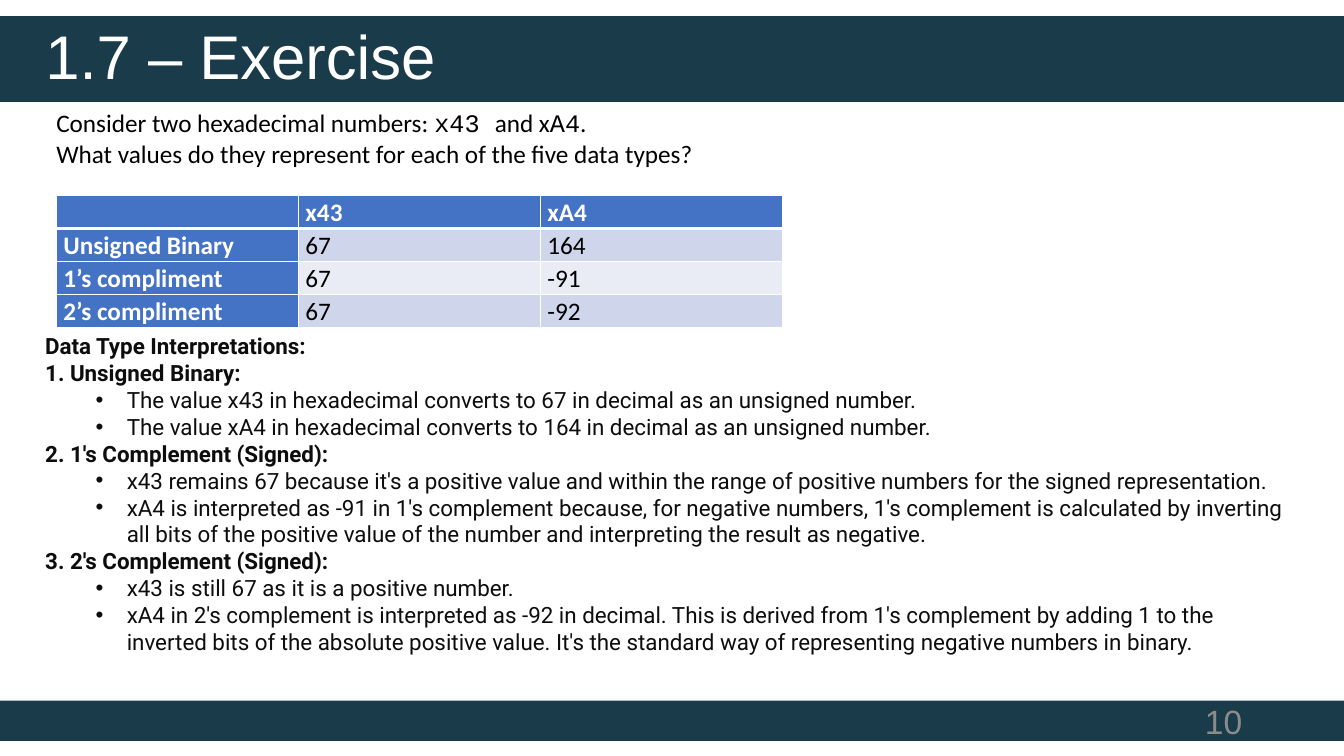
from lxml.etree import SubElement
from pptx import Presentation
from pptx.dml.color import RGBColor
from pptx.enum.shapes import MSO_SHAPE
from pptx.enum.text import MSO_ANCHOR, PP_ALIGN
from pptx.oxml.ns import qn
from pptx.util import Inches, Pt

TEAL = RGBColor(0x1A, 0x3B, 0x49)
WHITE = RGBColor(0xFF, 0xFF, 0xFF)
BLACK = RGBColor(0x00, 0x00, 0x00)
INK = RGBColor(0x0D, 0x0D, 0x0D)
GRAY = RGBColor(0x8B, 0x8B, 0x8B)
BLUE = RGBColor(0x44, 0x72, 0xC4)
ROW_TINTS = [RGBColor(0xCF, 0xD5, 0xEA), RGBColor(0xE9, 0xEB, 0xF5)]

VALUES = [
    ["", "x43", "xA4"],
    ["Unsigned Binary", "67", "164"],
    ["1’s compliment", "67", "-91"],
    ["2’s compliment", "67", "-92"],
]
INTERPRETATIONS = [
    ("Unsigned Binary:", [
        "The value x43 in hexadecimal converts to 67 in decimal as an unsigned number.",
        "The value xA4 in hexadecimal converts to 164 in decimal as an unsigned number.",
    ]),
    ("1's Complement (Signed):", [
        "x43 remains 67 because it's a positive value and within the range of positive "
        "numbers for the signed representation.",
        "xA4 is interpreted as -91 in 1's complement because, for negative numbers, "
        "1's complement is calculated by inverting all bits of the positive value of "
        "the number and interpreting the result as negative.",
    ]),
    ("2's Complement (Signed):", [
        "x43 is still 67 as it is a positive number.",
        "xA4 in 2's complement is interpreted as -92 in decimal. This is derived from "
        "1's complement by adding 1 to the inverted bits of the absolute positive value. "
        "It's the standard way of representing negative numbers in binary.",
    ]),
]


def add_text(para, text, font="Calibri", size=18, color=BLACK, bold=False):
    span = para.add_run()
    span.text = text
    span.font.name = font
    span.font.size = Pt(size)
    span.font.color.rgb = color
    span.font.bold = bold


def add_frame(slide, left, top, width, height):
    box = slide.shapes.add_textbox(Inches(left), Inches(top), Inches(width), Inches(height))
    box.text_frame.word_wrap = True
    return box.text_frame


def add_band(slide, top, height):
    band = slide.shapes.add_shape(
        MSO_SHAPE.RECTANGLE, 0, Inches(top), Inches(13.33), Inches(height))
    band.shadow.inherit = False
    band.fill.solid()
    band.fill.fore_color.rgb = TEAL
    band.line.fill.background()


def add_page_number(slide, left, top, width, height):
    frame = add_frame(slide, left, top, width, height)
    frame.vertical_anchor = MSO_ANCHOR.MIDDLE
    frame.paragraphs[0].alignment = PP_ALIGN.RIGHT
    add_text(frame.paragraphs[0], "10", font="Arial", size=24, color=GRAY)


def set_title(slide, left, top, width, height):
    """Fill the title placeholder and bring it in front of the bands."""
    title = slide.shapes.title
    title.left, title.top = Inches(left), Inches(top)
    title.width, title.height = Inches(width), Inches(height)
    title.element.getparent().append(title.element)
    title.text_frame.vertical_anchor = MSO_ANCHOR.MIDDLE
    para = title.text_frame.paragraphs[0]
    para.alignment = PP_ALIGN.LEFT
    para.line_spacing = 0.9
    add_text(para, "1.7 – Exercise", font="Arial", size=44, color=WHITE)


def add_question(slide, left, top, width, height):
    para = add_frame(slide, left, top, width, height).paragraphs[0]
    add_text(para, "Consider two hexadecimal numbers: ")
    add_text(para, "x43 ", font="Courier New")
    add_text(para, "and x")
    add_text(para, "A4", font="Courier New")
    add_text(para, ".")
    para.add_line_break()
    add_text(para, "What values do they represent for each of the five data types?")


def set_borders(cell, bottom):
    properties = cell._tc.get_or_add_tcPr()
    for side, width in (("L", 1), ("R", 1), ("T", 1), ("B", bottom)):
        line = SubElement(properties, qn(f"a:ln{side}"), w=str(Pt(width)))
        fill = SubElement(line, qn("a:solidFill"))
        SubElement(fill, qn("a:srgbClr"), val=str(WHITE))


def add_value_table(slide, left, top, width, height):
    table = slide.shapes.add_table(
        len(VALUES), len(VALUES[0]),
        Inches(left), Inches(top), Inches(width), Inches(height)).table
    table.first_col = True
    for row, texts in enumerate(VALUES):
        for column, text in enumerate(texts):
            cell = table.cell(row, column)
            heading = row == 0 or column == 0
            set_borders(cell, bottom=3 if row == 0 else 1)
            cell.fill.solid()
            cell.fill.fore_color.rgb = BLUE if heading else ROW_TINTS[(row - 1) % 2]
            cell.margin_left = cell.margin_right = Inches(0.07)
            cell.margin_top = cell.margin_bottom = 0
            para = cell.text_frame.paragraphs[0]
            para.line_spacing = 1.07
            para.font.size = Pt(18)
            if text:
                add_text(para, text, color=WHITE if heading else BLACK, bold=heading)


def add_number(para):
    properties = para._p.get_or_add_pPr()
    SubElement(properties, qn("a:buFont"), typeface="+mj-lt")
    SubElement(properties, qn("a:buAutoNum"), type="arabicPeriod")


def add_bullet(para):
    para.level = 1
    properties = para._p.get_or_add_pPr()
    properties.set("marL", str(Inches(0.81)))
    properties.set("indent", str(Inches(-0.31)))
    SubElement(properties, qn("a:buFont"), typeface="Arial")
    SubElement(properties, qn("a:buChar"), char="•")


def add_interpretations(slide, left, top, width, height):
    frame = add_frame(slide, left, top, width, height)
    style = {"font": "Roboto", "size": 16, "color": INK}
    add_text(frame.paragraphs[0], "Data Type Interpretations:", bold=True, **style)
    for heading, points in INTERPRETATIONS:
        para = frame.add_paragraph()
        add_number(para)
        add_text(para, " " + heading, bold=True, **style)
        for point in points:
            para = frame.add_paragraph()
            add_bullet(para)
            add_text(para, point, **style)


def main():
    deck = Presentation()
    deck.slide_width, deck.slide_height = Inches(13.33), Inches(7.5)
    slide = deck.slides.add_slide(deck.slide_layouts.get_by_name("Title Only"))
    add_band(slide, 0.16, 0.85)
    add_band(slide, 6.95, 0.4)
    add_page_number(slide, 9.42, 6.95, 3, 0.4)
    set_title(slide, 0.35, 0.25, 11.5, 0.68)
    add_value_table(slide, 0.56, 1.94, 7.2, 1.23)
    add_question(slide, 0.46, 1.02, 7.41, 0.71)
    add_interpretations(slide, 0.35, 3.25, 12.64, 3.4)
    deck.save("out.pptx")


if __name__ == "__main__":
    main()
